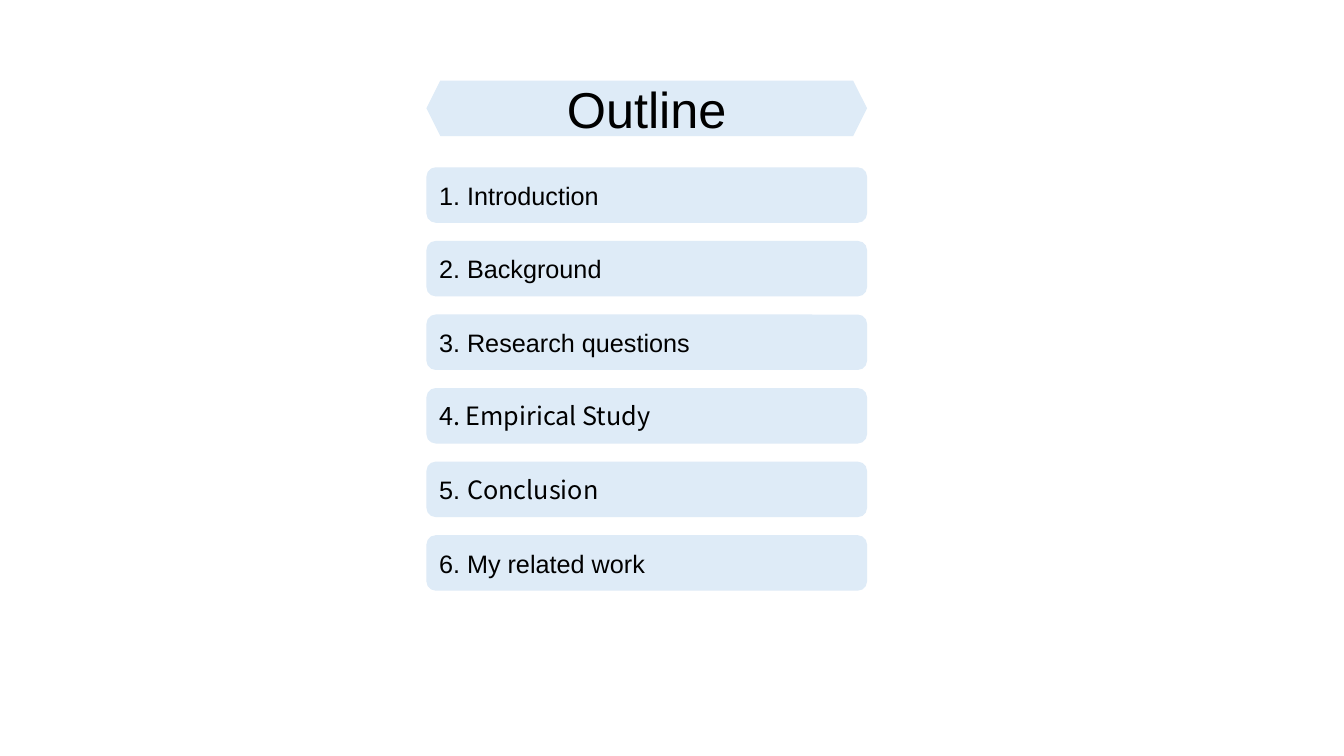
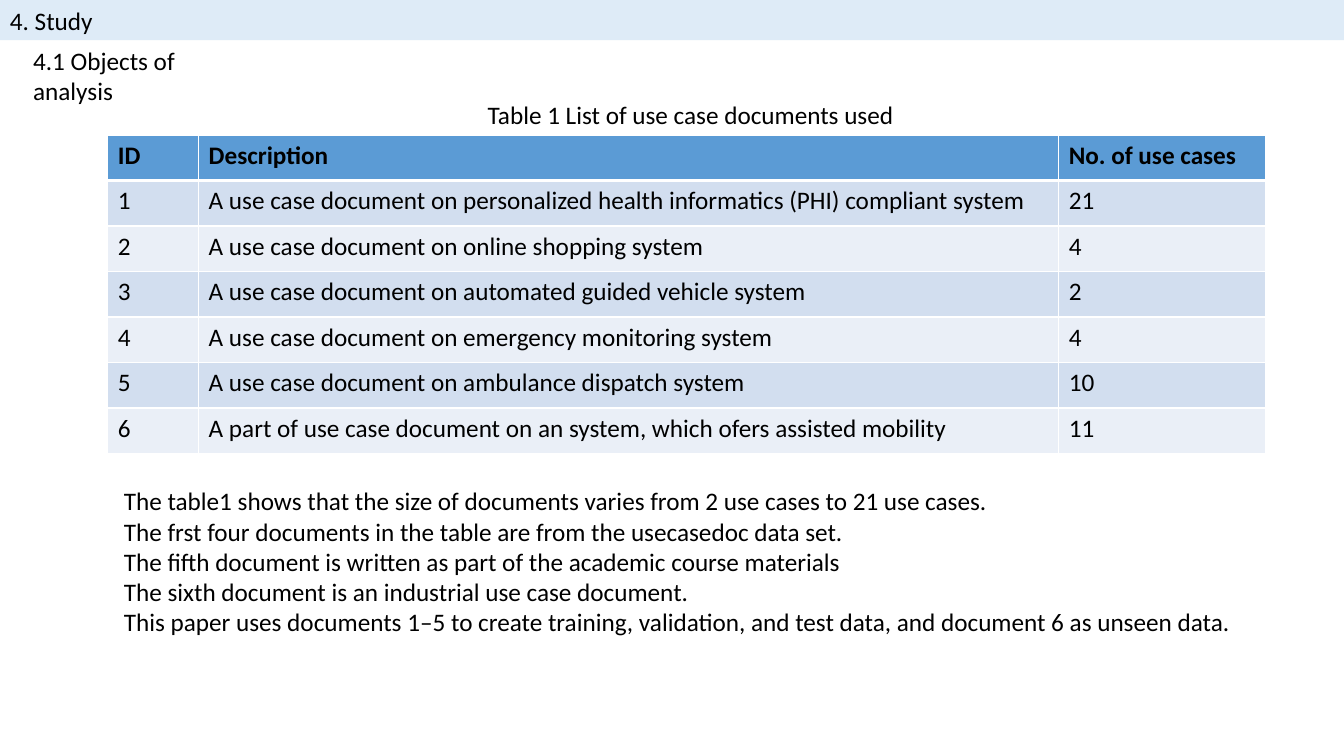
from lxml.etree import SubElement
from pptx import Presentation
from pptx.dml.color import RGBColor
from pptx.enum.shapes import MSO_SHAPE
from pptx.enum.text import MSO_ANCHOR, PP_ALIGN
from pptx.oxml.ns import qn
from pptx.util import Inches, Pt

BLACK = RGBColor(0x00, 0x00, 0x00)
PALE_BLUE = RGBColor(0xDE, 0xEB, 0xF7)
HEADER_BLUE = RGBColor(0x5B, 0x9B, 0xD5)
ROW_FILLS = (RGBColor(0xD2, 0xDE, 0xEF), RGBColor(0xEA, 0xEF, 0xF7))
WHITE = RGBColor(0xFF, 0xFF, 0xFF)
OUTLINE_FONT = "Arial"
TITLE_FONT = "Noto Sans CJK SC"
BODY_FONT = "Calibri"

OUTLINE_ENTRIES = [
    [("1. Introduction", OUTLINE_FONT)],
    [("2. Background", OUTLINE_FONT)],
    [("3. Research questions", OUTLINE_FONT)],
    [("4. Empirical Study", TITLE_FONT)],
    [("5. ", OUTLINE_FONT), ("Conclusion", TITLE_FONT)],
    [("6. My related work", OUTLINE_FONT)],
]
USE_CASE_ROWS = [
    ("ID", "Description", "No. of use cases"),
    ("1", "A use case document on personalized health informatics (PHI) compliant system", "21"),
    ("2", "A use case document on online shopping system", "4"),
    ("3", "A use case document on automated guided vehicle system", "2"),
    ("4", "A use case document on emergency monitoring system", "4"),
    ("5", "A use case document on ambulance dispatch system", "10"),
    ("6", "A part of use case document on an system, which ofers assisted mobility", "11"),
]
FINDINGS = [
    "The table1 shows that the size of documents varies from 2 use cases to 21 use cases.",
    "The frst four documents in the table are from the usecasedoc data set.",
    "The fifth document is written as part of the academic course materials",
    "The sixth document is an industrial use case document.",
    "This paper uses documents 1–5 to create training, validation, and test data, "
    "and document 6 as unseen data.",
]


def write_text(paragraph, text, font=BODY_FONT, size=18, bold=False, align=PP_ALIGN.LEFT):
    """Append formatted text to a paragraph."""
    paragraph.alignment = align
    run = paragraph.add_run()
    run.text = text
    run.font.name = font
    run.font.size = Pt(size)
    run.font.bold = bold
    run.font.color.rgb = BLACK


def add_panel(slide, kind, left, top, width, height, anchor=MSO_ANCHOR.MIDDLE):
    """Add a pale blue shape and return its first paragraph."""
    shape = slide.shapes.add_shape(kind, Inches(left), Inches(top), Inches(width), Inches(height))
    shape.shadow.inherit = False
    shape.fill.solid()
    shape.fill.fore_color.rgb = PALE_BLUE
    shape.line.fill.background()
    shape.text_frame.vertical_anchor = anchor
    return shape.text_frame.paragraphs[0]


def add_text_box(slide, lines, left, top, width, height, wrap=True, **text_format):
    """Add a text box with one paragraph for each line."""
    box = slide.shapes.add_textbox(Inches(left), Inches(top), Inches(width), Inches(height))
    frame = box.text_frame
    frame.word_wrap = wrap
    for index, line in enumerate(lines):
        paragraph = frame.add_paragraph() if index else frame.paragraphs[0]
        write_text(paragraph, line, **text_format)


def set_borders(cell, **widths):
    """Give a cell white borders with widths in points, keyed by side."""
    properties = cell._tc.get_or_add_tcPr()
    for position, side in enumerate("LRTB"):
        line = SubElement(properties, qn(f"a:ln{side}"), w=str(Pt(widths.get(side, 1))))
        fill = SubElement(line, qn("a:solidFill"))
        SubElement(fill, qn("a:srgbClr"), val=str(WHITE))
        properties.insert(position, line)


def add_table(slide, rows, left, top, column_widths, height):
    """Add a table with a header row and alternating row fills."""
    table = slide.shapes.add_table(
        len(rows), len(column_widths), Inches(left), Inches(top),
        Inches(sum(column_widths)), Inches(height)).table
    for column, width in zip(table.columns, column_widths):
        column.width = Inches(width)
    for row_index, values in enumerate(rows):
        is_header = row_index == 0
        table.rows[row_index].height = Inches(height / len(rows))
        for column_index, value in enumerate(values):
            cell = table.cell(row_index, column_index)
            cell.fill.solid()
            cell.fill.fore_color.rgb = HEADER_BLUE if is_header else ROW_FILLS[(row_index - 1) % 2]
            set_borders(cell, T=3 if row_index == 1 else 1, B=3 if is_header else 1)
            write_text(cell.text_frame.paragraphs[0], value, bold=is_header)


def build_outline(slide):
    """Draw the outline heading and its entries."""
    left, width, height = 4.23, 4.37, 0.55
    heading = add_panel(slide, MSO_SHAPE.HEXAGON, left, 0.8, width, height)
    write_text(heading, "Outline", font=OUTLINE_FONT, size=36, align=PP_ALIGN.CENTER)
    for index, parts in enumerate(OUTLINE_ENTRIES):
        entry = add_panel(
            slide, MSO_SHAPE.ROUNDED_RECTANGLE, left, 1.66 + 0.73 * index, width, height)
        for text, font in parts:
            write_text(entry, text, font=font)


def build_study(slide):
    """Draw the study slide with its table and findings."""
    band = add_panel(slide, MSO_SHAPE.RECTANGLE, 0, 0, 13.33, 0.4, anchor=MSO_ANCHOR.TOP)
    write_text(band, "4. Study")
    add_text_box(slide, ["4.1 Objects of analysis"], 0.23, 0.4, 2.45, 0.4, wrap=False)
    add_text_box(slide, ["Table 1 List of use case documents used"],
                 4.01, 0.94, 5.68, 0.4, align=PP_ALIGN.CENTER)
    add_table(slide, USE_CASE_ROWS, 1.07, 1.34, (0.9, 8.53, 2.05), 3.16)
    add_text_box(slide, FINDINGS, 1.13, 4.77, 11.36, 1.61)


def main():
    """Build and save the presentation."""
    presentation = Presentation()
    presentation.slide_width = Inches(13.33)
    presentation.slide_height = Inches(7.5)
    for build in (build_outline, build_study):
        build(presentation.slides.add_slide(presentation.slide_layouts[6]))
    presentation.save("out.pptx")


if __name__ == "__main__":
    main()
